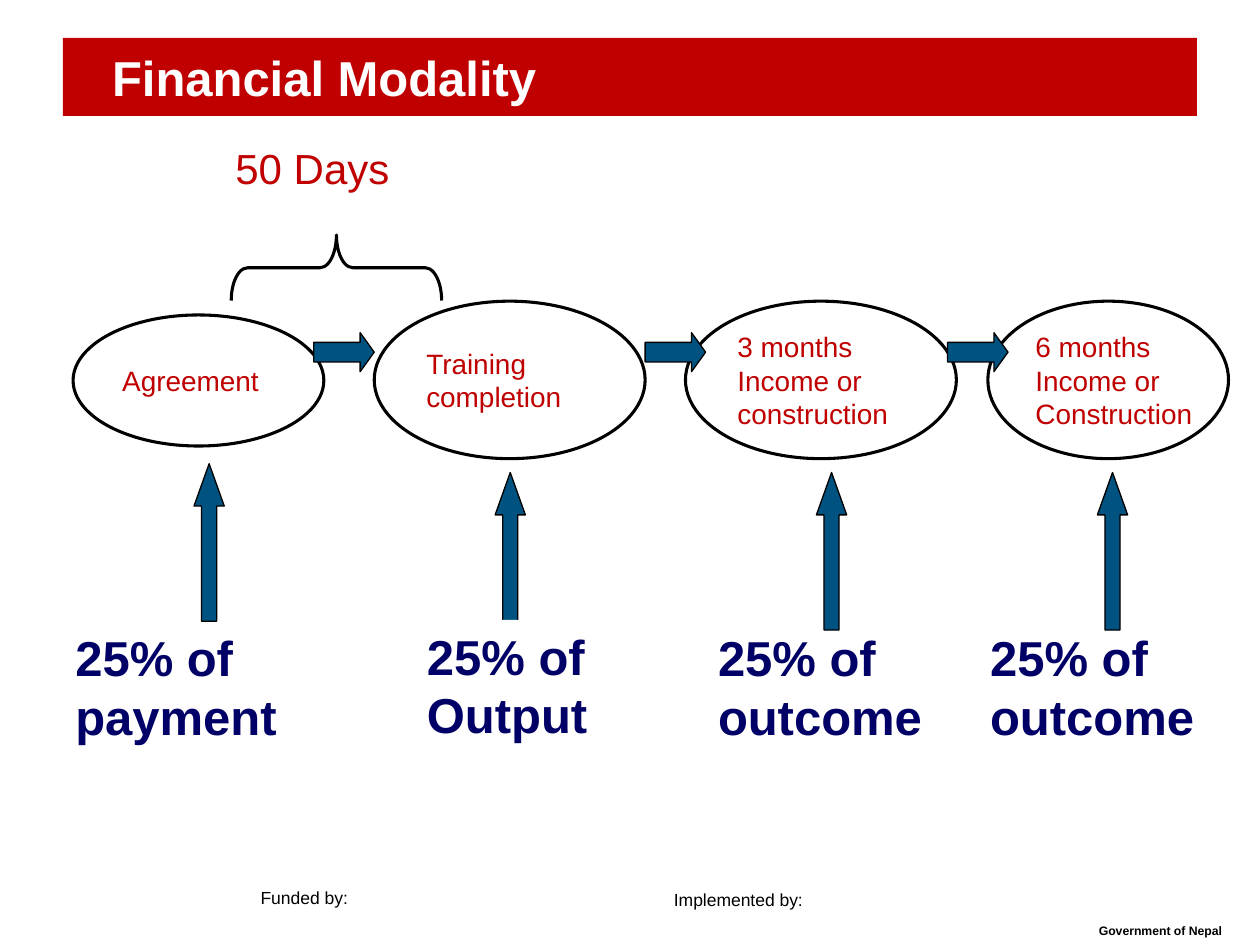
"""Build the Financial Modality slide with its four payment stages."""
import dataclasses
import typing

import pptx
import pptx.dml.color
import pptx.enum.shapes
import pptx.enum.text
import pptx.util

RGB = pptx.dml.color.RGBColor
KIND = pptx.enum.shapes.MSO_SHAPE
ALIGN = pptx.enum.text.PP_ALIGN
ANCHOR = pptx.enum.text.MSO_ANCHOR

PX = 9144
FONT = "Arial"
RED = RGB(0xC0, 0x00, 0x00)
BLUE = RGB(0x00, 0x53, 0x80)
NAVY = RGB(0x00, 0x00, 0x66)
BLACK = RGB(0x00, 0x00, 0x00)
WHITE = RGB(0xFF, 0xFF, 0xFF)


@dataclasses.dataclass(frozen=True)
class Box:
    left: int
    top: int
    width: int
    height: int

    def scale(self) -> tuple[int, ...]:
        return tuple(PX * side for side in dataclasses.astuple(self))


@dataclasses.dataclass(frozen=True)
class Style:
    size: int
    color: RGB
    bold: bool = False
    wrap: bool = True
    middle: bool = False
    align: ALIGN = ALIGN.LEFT
    inset: int = 10


@dataclasses.dataclass(frozen=True)
class Label:
    text: str
    box: Box
    style: Style


@dataclasses.dataclass(frozen=True)
class Share:
    text: str
    box: Box
    arrow: Box
    behind: bool = False


TITLE = Style(28, WHITE, bold=True, middle=True, inset=39)
STAGE = Style(16, RED, wrap=False, middle=True)
DAYS = Style(24, RED, wrap=False)
SHARE = Style(28, NAVY, bold=True)
FOOTER = Style(10, BLACK)
OWNER = Style(7, BLACK, bold=True, align=ALIGN.CENTER)

FOOTERS = (
    Label("Funded by:", Box(197, 699, 94, 27), FOOTER),
    Label("Implemented by:", Box(525, 701, 142, 27), FOOTER),
    Label("Government of Nepal", Box(850, 728, 142, 22), OWNER),
)
STAGES = (
    Label("Agreement", Box(58, 250, 199, 104), STAGE),
    Label("Training\ncompletion", Box(297, 239, 215, 125), STAGE),
    Label("3 months\nIncome or\nconstruction", Box(544, 239, 215, 125), STAGE),
    Label("6 months\nIncome or\nConstruction", Box(784, 239, 191, 125), STAGE),
)
SHARES = (
    Share("25% of payment", Box(50, 493, 247, 104), Box(154, 368, 24, 125)),
    Share("25% of Output", Box(329, 492, 199, 104), Box(393, 375, 24, 125), True),
    Share("25% of outcome", Box(560, 493, 199, 104), Box(648, 375, 24, 125)),
    Share("25% of outcome", Box(776, 493, 199, 104), Box(871, 375, 24, 125)),
)
STEPS = (249, 512, 752)


def write(shape: typing.Any, text: str, style: Style) -> None:
    frame = shape.text_frame
    frame.word_wrap = style.wrap
    frame.vertical_anchor = ANCHOR.MIDDLE if style.middle else ANCHOR.TOP
    frame.margin_left = frame.margin_right = style.inset * PX
    frame.margin_top = frame.margin_bottom = 5 * PX
    for index, line in enumerate(text.split("\n")):
        para = frame.add_paragraph() if index else frame.paragraphs[0]
        para.alignment = style.align
        run = para.add_run()
        run.text = line
        run.font.name = FONT
        run.font.size = pptx.util.Pt(style.size)
        run.font.bold = style.bold
        run.font.color.rgb = style.color


def draw(
    slide: typing.Any,
    kind: KIND,
    box: Box,
    fill: RGB | None = None,
    line: float = 0,
    adjust: tuple[float, ...] = (),
) -> typing.Any:
    shape = slide.shapes.add_shape(kind, *box.scale())
    shape.shadow.inherit = False
    if fill is None:
        shape.fill.background()
    else:
        shape.fill.solid()
        shape.fill.fore_color.rgb = fill
    if line:
        shape.line.color.rgb = BLACK
        shape.line.width = pptx.util.Pt(line)
    else:
        shape.line.fill.background()
    for index, value in enumerate(adjust):
        shape.adjustments[index] = value
    return shape


def draw_share(slide: typing.Any, share: Share) -> None:
    def point() -> None:
        draw(slide, KIND.UP_ARROW, share.arrow, BLUE, 0.75, (0.5, 1.4))

    if share.behind:
        point()
    write(draw(slide, KIND.RECTANGLE, share.box, WHITE), share.text, SHARE)
    if not share.behind:
        point()


def main() -> None:
    deck = pptx.Presentation()
    deck.slide_width, deck.slide_height = 1000 * PX, 750 * PX
    slide = deck.slides.add_slide(deck.slide_layouts[6])

    for label in FOOTERS:
        text = slide.shapes.add_textbox(*label.box.scale())
        write(text, label.text, label.style)

    banner = draw(slide, KIND.RECTANGLE, Box(50, 30, 900, 62), RED)
    write(banner, "Financial Modality", TITLE)

    for label in STAGES:
        oval = draw(slide, KIND.OVAL, label.box, WHITE, 1.75)
        write(oval, label.text, label.style)

    brace = draw(
        slide, KIND.LEFT_BRACE, Box(241, 129, 52, 167), line=1.75, adjust=(0.25, 0.5)
    )
    brace.rotation = 90
    days = draw(slide, KIND.RECTANGLE, Box(177, 108, 142, 50), WHITE)
    write(days, "50 Days", DAYS)

    for left in STEPS:
        draw(slide, KIND.RIGHT_ARROW, Box(left, 264, 48, 31), BLUE, 0.75, (0.5, 0.36))
    for share in SHARES:
        draw_share(slide, share)

    deck.save("out.pptx")


if __name__ == "__main__":
    main()
